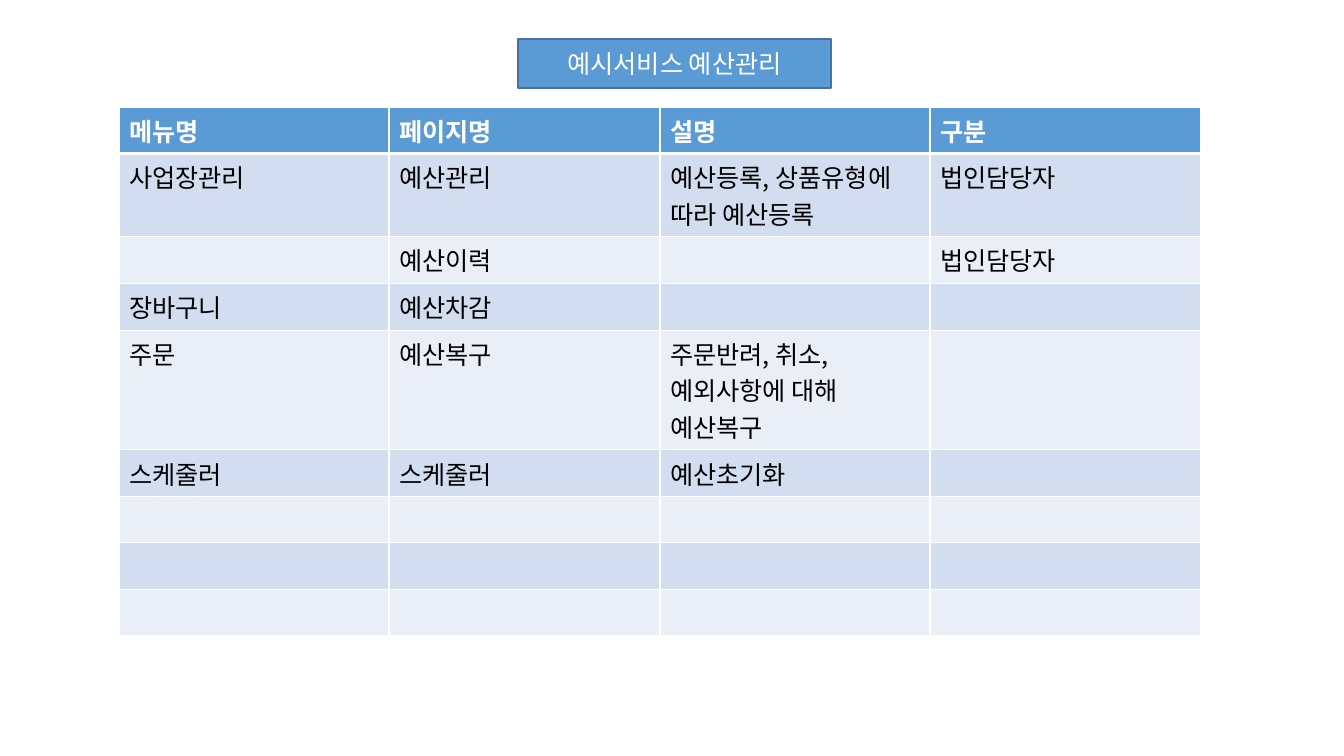
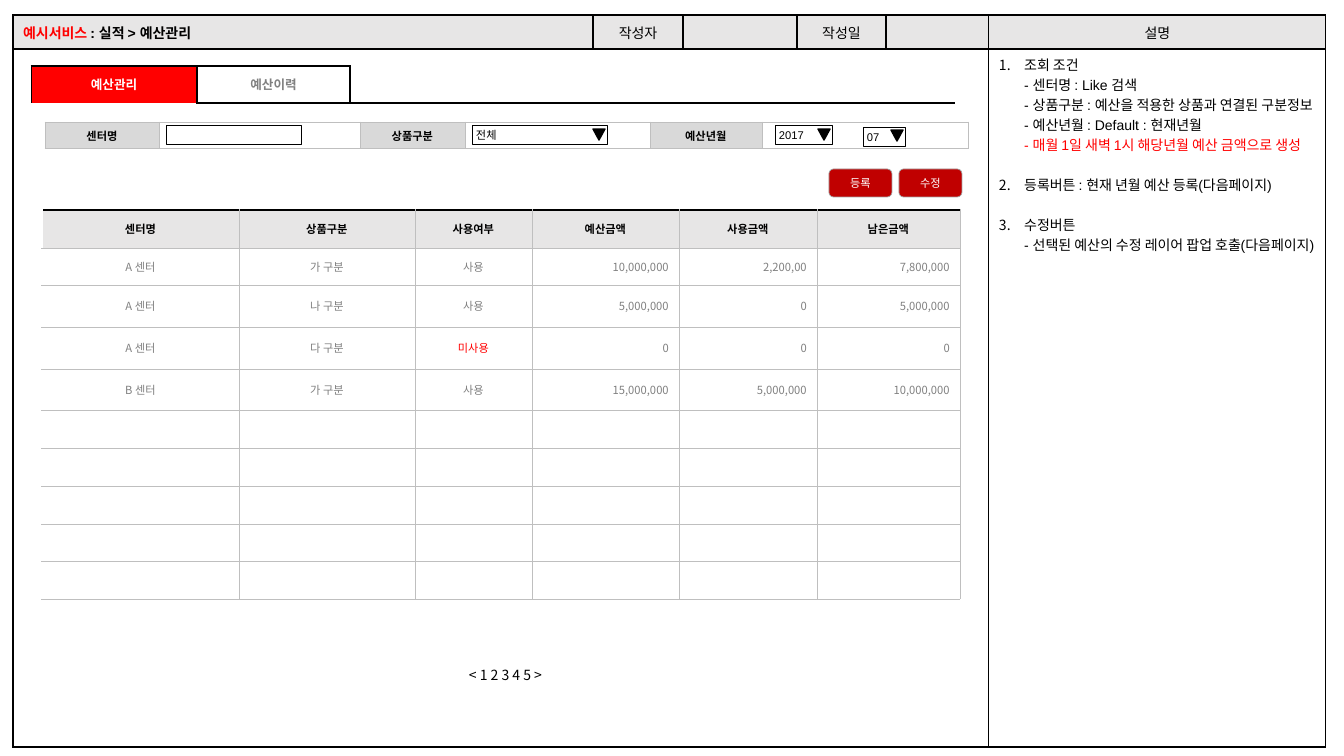
from lxml import etree
from pptx import Presentation
from pptx.dml.color import RGBColor
from pptx.enum.shapes import MSO_SHAPE
from pptx.enum.text import MSO_ANCHOR, PP_ALIGN
from pptx.oxml.ns import qn
from pptx.util import Emu, Pt

SCALE = 914400 / 100.8  # EMU in one px
RECT, ROUNDED = MSO_SHAPE.RECTANGLE, MSO_SHAPE.ROUNDED_RECTANGLE
TRIANGLE = MSO_SHAPE.ISOSCELES_TRIANGLE
LEFT, CENTER, RIGHT = PP_ALIGN.LEFT, PP_ALIGN.CENTER, PP_ALIGN.RIGHT
TOP, MIDDLE = MSO_ANCHOR.TOP, MSO_ANCHOR.MIDDLE
KOREAN, ARIAL = "Noto Sans CJK KR", "Arial"
COLORS = {
    "white": "FFFFFF", "black": "000000", "red": "FF0000", "dark_red": "C00000",
    "blue": "5B9BD5", "blue_edge": "43739E", "band_dark": "D2DEEF", "band_light": "EAEFF7",
    "head": "E7E6E6", "label": "D9D9D9", "rule": "BFBFBF", "button_edge": "A5A5A5",
    "gray": "808080",
}
RGB = {name: RGBColor.from_string(value) for name, value in COLORS.items()}
COMPANY = "예시서비스"


def style_text(para, size, font, color="black", bold=False, align=LEFT):
    """Format all runs, and size the line breaks or the empty line to match."""
    para.alignment = align
    for span in para.runs:
        span.font.size = Pt(size)
        span.font.name = font
        span.font.bold = bold
        span.font.color.rgb = RGB[color]
        etree.SubElement(span.font._element, qn("a:ea"), typeface=KOREAN)
    for line_break in para._p.findall(qn("a:br")):
        etree.SubElement(line_break, qn("a:rPr"), sz=str(size * 100))
    if not para.runs:
        etree.SubElement(para._p, qn("a:endParaRPr"), sz=str(size * 100))


def build_table(page, left, top, widths, heights, rows, size, font, anchor=MIDDLE):
    """Each cell is a dict: text, fill, edges {side: (color, points)} and text style."""
    frame = page.shapes.add_table(
        len(heights), len(widths), Emu(round(left * SCALE)), Emu(round(top * SCALE)),
        Emu(round(sum(widths) * SCALE)), Emu(round(sum(heights) * SCALE)))
    table = frame.table
    table.first_row = table.horz_banding = False
    for column, width in zip(table.columns, widths):
        column.width = Emu(round(width * SCALE))
    for r, (height, row) in enumerate(zip(heights, rows)):
        table.rows[r].height = Emu(round(height * SCALE))
        for c, look in enumerate(row):
            cell = table.cell(r, c)
            cell.text_frame.text = look.get("text", "")
            cell.vertical_anchor = anchor
            style_text(cell.text_frame.paragraphs[0], size, font, look.get("color", "black"),
                       look.get("bold", False), look.get("align", LEFT))
            if "fill" in look:
                cell.fill.solid()
                cell.fill.fore_color.rgb = RGB[look["fill"]]
            else:
                cell.fill.background()
            properties = cell._tc.get_or_add_tcPr()
            for index, side in enumerate("LRTB"):
                line = etree.Element(qn("a:ln" + side))
                if side in look["edges"]:
                    color, points = look["edges"][side]
                    line.set("w", str(int(points * 12700)))
                    solid = etree.SubElement(line, qn("a:solidFill"))
                    etree.SubElement(solid, qn("a:srgbClr"), val=COLORS[color])
                else:
                    etree.SubElement(line, qn("a:noFill"))
                properties.insert(index, line)
    return table


deck = Presentation()
deck.slide_width, deck.slide_height = Emu(round(1344 * SCALE)), Emu(round(756 * SCALE))
menu_page, screen_page = [deck.slides.add_slide(deck.slide_layouts[6]) for _ in range(2)]
white_grid = dict.fromkeys("LRTB", ("white", 1))
black_grid = dict.fromkeys("LRTB", ("black", 1))
gray_grid = dict.fromkeys("LRTB", ("rule", 0.5))

# Menu list
menu = [
    ["사업장관리", "예산관리", "예산등록, 상품유형에 따라 예산등록", "법인담당자"],
    ["", "예산이력", "", "법인담당자"],
    ["장바구니", "예산차감", "", ""],
    ["주문", "예산복구", "주문반려, 취소, 예외사항에 대해 예산복구", ""],
    ["스케줄러", "스케줄러", "예산초기화", ""],
] + [[""] * 4] * 3
menu_rows = [[dict(text=text, fill="blue", color="white", bold=True,
                   edges={**white_grid, "B": ("white", 3)})
              for text in ["메뉴명", "페이지명", "설명", "구분"]]]
for number, texts in enumerate(menu):
    band = "band_light" if number % 2 else "band_dark"
    edges = {**white_grid, "T": ("white", 1 if number else 3)}
    menu_rows.append([dict(text=text, fill=band, edges=edges) for text in texts])
build_table(menu_page, 119, 107, [270, 271, 270, 271],
            [46, 83, 46, 47, 119, 47, 46, 47, 46], menu_rows, 18, KOREAN, TOP)

# Screen frame with the description column
frame_head = [dict(text=COMPANY + " ", fill="head", color="red", bold=True, edges=black_grid)]
frame_head += [dict(text=text, fill="head", align=CENTER, edges=black_grid)
               for text in ["작성자", "", "작성일", "", "설명"]]
frame_table = build_table(screen_page, 13, 15, [580, 90, 114, 89, 103, 337], [34, 698],
                          [frame_head, [dict(edges=black_grid)] * 6], 10, ARIAL)
frame_table.cell(1, 0).merge(frame_table.cell(1, 4))
title = frame_table.cell(0, 0).text_frame.paragraphs[0]
crumb = title.add_run()
crumb.text = ": 실적 > 예산관리"
crumb.font.size, crumb.font.name, crumb.font.bold = Pt(10), ARIAL, True
crumb.font.color.rgb = RGB["black"]

notes = [
    "조회 조건\v- 센터명 : Like 검색\v- 상품구분 : 예산을 적용한 상품과 연결된 구분정보\v"
    "- 예산년월 : Default : 현재년월\v- 매월 1일 새벽 1시 해당년월 예산 금액으로 생성",
    "등록버튼 : 현재 년월 예산 등록(다음페이지)",
    "수정버튼\v- 선택된 예산의 수정 레이어 팝업 호출(다음페이지)",
]
note_cell = frame_table.cell(1, 5)
note_cell.vertical_anchor = TOP
for number, note in enumerate(notes):
    para = note_cell.text_frame.add_paragraph() if number else note_cell.text_frame.paragraphs[0]
    para.text = note
    style_text(para, 10, ARIAL)
    if number:
        para.space_before = Pt(14)
    properties = para._p.get_or_add_pPr()
    properties.set("marL", "228600")
    properties.set("indent", "-228600")
    etree.SubElement(properties, qn("a:buFont"), typeface=ARIAL)
    etree.SubElement(properties, qn("a:buAutoNum"), type="arabicPeriod")
note_cell.text_frame.paragraphs[0].runs[-1].font.color.rgb = RGB["red"]

# Tabs
line = ("black", 1)
tabs = [
    dict(text="예산관리", fill="red", color="white", bold=True, align=CENTER,
         edges={"L": ("black", 0.75), "T": line, "R": line}),
    dict(text="예산이력", color="gray", bold=True, align=CENTER, edges=black_grid),
    dict(edges={"L": line, "B": line}),
]
build_table(screen_page, 31, 66, [166, 153, 605], [37], [tabs], 9, KOREAN)

# Budget list
centers = [
    ["A 센터", "가 구분", "사용", "10,000,000", "2,200,00", "7,800,000"],
    ["A 센터", "나 구분", "사용", "5,000,000", "0", "5,000,000"],
    ["A 센터", "다 구분", "미사용", "0", "0", "0"],
    ["B 센터", "가 구분", "사용", "15,000,000", "5,000,000", "10,000,000"],
] + [[""] * 6] * 5
budget_rows = [[dict(text=text, fill="head", bold=True, align=CENTER,
                     edges={**gray_grid, "T": ("black", 1.5)})
                for text in ["센터명", "상품구분", "사용여부", "예산금액", "사용금액", "남은금액"]]]
for texts in centers:
    budget_rows.append([dict(text=text, fill="white", edges=gray_grid,
                             color="red" if text == "미사용" else "gray",
                             align=CENTER if column < 3 else RIGHT)
                        for column, text in enumerate(texts)])
for row in budget_rows:
    row[0]["edges"] = {**row[0]["edges"], "L": ("white", 1.5)}
build_table(screen_page, 42, 210, [197, 176, 117, 147, 138, 143],
            [38, 37, 42, 42, 41, 38, 38, 38, 37, 38], budget_rows, 8, KOREAN)

# Search bar
search = []
for text in ["센터명", "상품구분", "예산년월"]:
    search.append(dict(text=text, fill="label", bold=True, align=CENTER, edges=gray_grid))
    search.append(dict(edges=gray_grid))
build_table(screen_page, 45, 122, [114, 201, 105, 185, 112, 206], [26], [search], 8, KOREAN)

# Title box, input fields, arrows and buttons
field = ("white", "black", 0.25, 8, ARIAL, "black", LEFT)
arrow = ("black", "black", 1, 8, ARIAL, "black", CENTER)
button = ("dark_red", "button_edge", 0.5, 8, KOREAN, "white", CENTER)
heading = ("blue", "blue_edge", 1, 18, KOREAN, "white", CENTER)
boxes = [
    (menu_page, RECT, 518, 39, 313, 49, COMPANY + " 예산관리", heading),
    (screen_page, RECT, 166, 125, 135, 19, "", field),
    (screen_page, RECT, 472, 125, 135, 19, "전체", field),
    (screen_page, RECT, 775, 125, 57, 19, "2017", field),
    (screen_page, RECT, 863, 127, 42, 19, "07", field),
    (screen_page, TRIANGLE, 593, 129, 12, 11, "", arrow),
    (screen_page, TRIANGLE, 818, 129, 12, 11, "", arrow),
    (screen_page, TRIANGLE, 891, 130, 12, 11, "", arrow),
    (screen_page, ROUNDED, 829, 169, 63, 28, "등록", button),
    (screen_page, ROUNDED, 899, 169, 63, 28, "수정", button),
]
for page, preset, left, top, width, height, text, look in boxes:
    fill, edge, points, size, font, color, align = look
    box = page.shapes.add_shape(
        preset, *[Emu(round(length * SCALE)) for length in (left, top, width, height)])
    box.shadow.inherit = False
    box.fill.solid()
    box.fill.fore_color.rgb = RGB[fill]
    box.line.color.rgb = RGB[edge]
    box.line.width = Pt(points)
    if preset == TRIANGLE:
        box.rotation = 180
    if text:
        frame = box.text_frame
        frame.text = text
        frame.word_wrap = True
        frame.vertical_anchor = MIDDLE
        frame.margin_left = frame.margin_right = Emu(round(4 * SCALE))
        frame.margin_top = frame.margin_bottom = 0
        style_text(frame.paragraphs[0], size, font, color, align=align)

# Page numbers
pager = screen_page.shapes.add_textbox(
    *[Emu(round(length * SCALE)) for length in (459, 662, 114, 27)])
pager.text_frame.text = "< 1 2 3 4 5 >"
pager.text_frame.word_wrap = True
style_text(pager.text_frame.paragraphs[0], 10, KOREAN)

deck.save("out.pptx")
